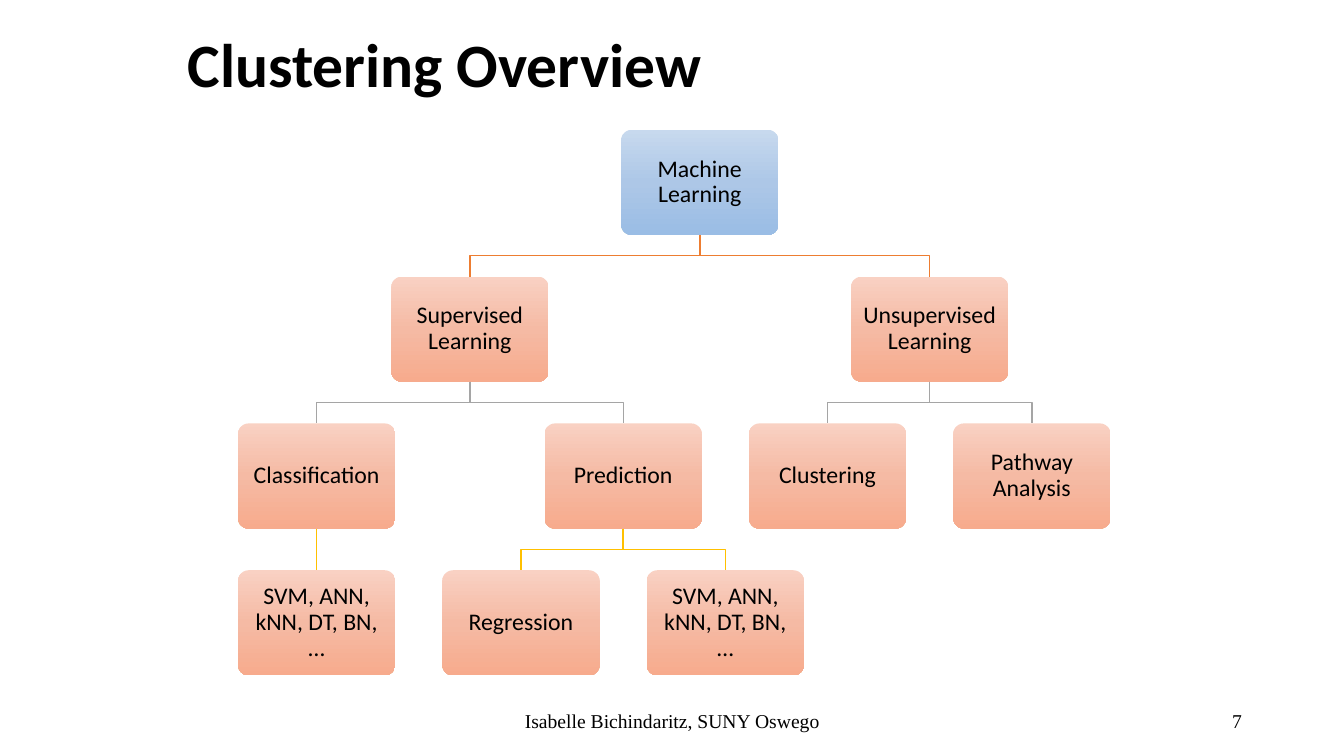
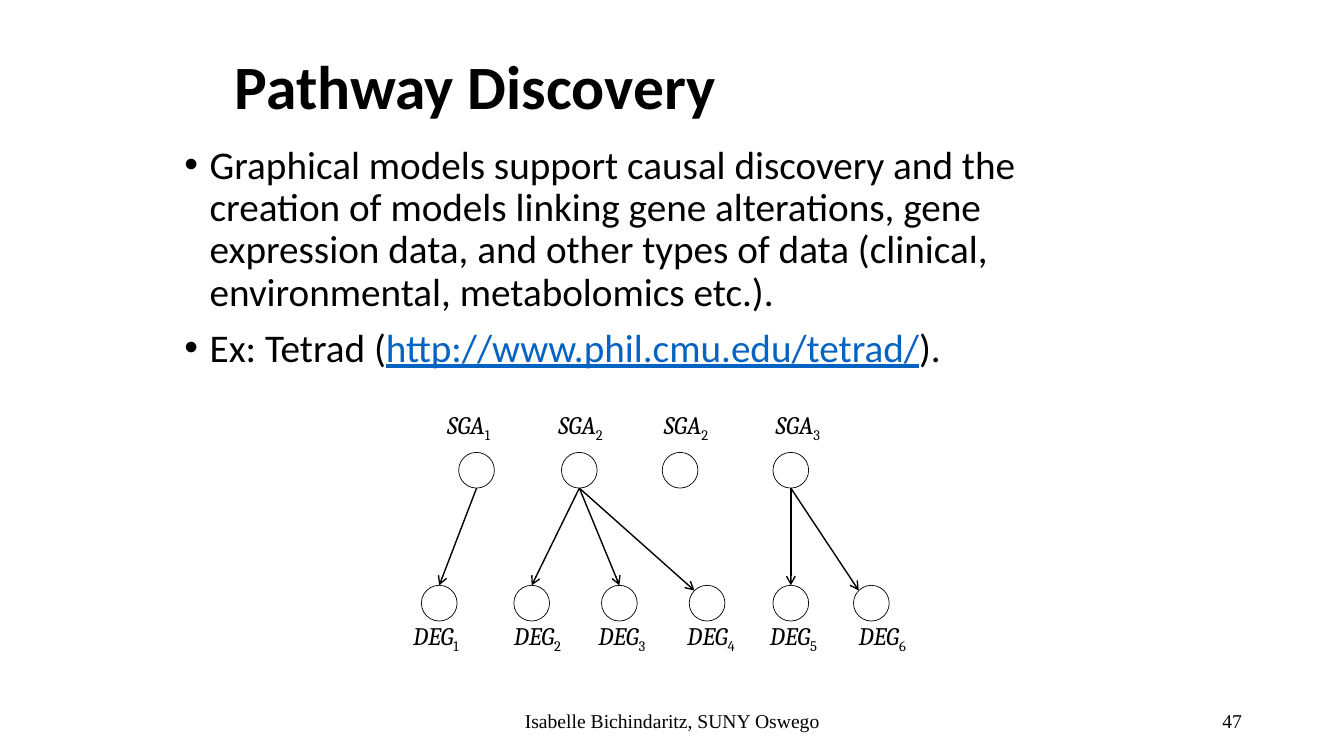
import copy

import pptx
import pptx.dml.color
import pptx.enum.shapes
import pptx.enum.text
import pptx.oxml
import pptx.oxml.ns
import pptx.util

Cm, Pt = pptx.util.Cm, pptx.util.Pt
qn = pptx.oxml.ns.qn
SHAPE = pptx.enum.shapes.MSO_SHAPE
STRAIGHT = pptx.enum.shapes.MSO_CONNECTOR.STRAIGHT
ALIGN = pptx.enum.text.PP_ALIGN
ANCHOR = pptx.enum.text.MSO_ANCHOR

# Shared colours and text formats
COLORS = {
    "text": "000000", "link": "0563C1",
    "level 1": "ED7D31", "level 2": "A5A5A5", "level 3": "FFC000",
}
ROOT_GRADIENT = ["C7D9EE", "ADC7E7", "9ABDE5"]
NODE_GRADIENT = ["F9D1C3", "F5BAA4", "F7AB8D"]
TITLE = {"name": "Calibri", "size": Pt(44), "bold": True}
BODY = {"name": "Calibri", "size": Pt(28)}
NODE = {"name": "Calibri", "size": Pt(17)}
FOOTER = {"name": "Times New Roman", "size": Pt(14)}
SYMBOL = {"name": "Cambria", "size": Pt(18), "italic": True}
SUBSCRIPT = {"name": "Cambria", "size": Pt(18), "italic": False}


def add_run(paragraph, text, text_format, color="text"):
    run = paragraph.add_run()
    run.text = text
    for name, value in text_format.items():
        setattr(run.font, name, value)
    run.font.color.rgb = pptx.dml.color.RGBColor.from_string(COLORS[color])
    return run


def add_line(slide, start, end, color):
    connector = slide.shapes.add_connector(STRAIGHT, *start, *end)
    connector.line.color.rgb = pptx.dml.color.RGBColor.from_string(COLORS[color])
    connector.line.width = Pt(1)
    properties = connector._element.spPr
    properties.append(pptx.oxml.parse_xml(
        f'<a:effectLst {pptx.oxml.ns.nsdecls("a")}/>'))
    return connector


presentation = pptx.Presentation()
presentation.slide_width = Cm(33.87)
presentation.slide_height = Cm(19.05)

# Titles and footers: layout index, title, title left and top, page number
slides = []
for layout, title, left, top, number in [
    (5, "Clustering Overview", 4.47, 0.1, "7"),
    (1, "Pathway Discovery", 5.66, 0.66, "47"),
]:
    slide = presentation.slides.add_slide(presentation.slide_layouts[layout])
    slides.append(slide)
    shape = slide.shapes.title
    shape.left, shape.top, shape.width, shape.height = Cm(left), Cm(top), Cm(21.59), Cm(3.18)
    shape.text_frame.vertical_anchor = ANCHOR.MIDDLE
    paragraph = shape.text_frame.paragraphs[0]
    paragraph.alignment = ALIGN.LEFT
    paragraph.line_spacing = 0.9
    add_run(paragraph, title, TITLE)

    for text, left, width, alignment in [
        ("Isabelle Bichindaritz, SUNY Oswego", 11.23, 11.43, ALIGN.CENTER),
        (number, 23.93, 7.62, ALIGN.RIGHT),
    ]:
        shape = slide.shapes.add_textbox(Cm(left), Cm(17.65), Cm(width), Cm(1.02))
        shape.text_frame.word_wrap = True
        shape.text_frame.vertical_anchor = ANCHOR.MIDDLE
        paragraph = shape.text_frame.paragraphs[0]
        paragraph.alignment = alignment
        add_run(paragraph, text, FOOTER)

overview, discovery = slides

# Tree: text, column in leaf pitches, level, index of the parent
METHODS = "SVM, ANN, kNN, DT, BN, …"
TREE = [
    ("Machine Learning", 1.875, 0, None),
    ("Supervised Learning", 0.75, 1, 0),
    ("Unsupervised Learning", 3, 1, 0),
    ("Classification", 0, 2, 1),
    ("Prediction", 1.5, 2, 1),
    ("Clustering", 2.5, 2, 2),
    ("Pathway Analysis", 3.5, 2, 2),
    (METHODS, 0, 3, 3),
    ("Regression", 1, 3, 4),
    (METHODS, 2, 3, 4),
]
NODE_WIDTH, NODE_HEIGHT = Cm(3.96), Cm(2.65)
nodes = []
for text, column, level, parent_index in TREE:
    center = Cm(7.98 + 5.15 * column)
    top = Cm(3.27 + 3.7 * level)
    node = overview.shapes.add_shape(
        SHAPE.ROUNDED_RECTANGLE, center - NODE_WIDTH // 2, top, NODE_WIDTH, NODE_HEIGHT)
    nodes.append(node)
    node.adjustments[0] = 0.1
    node.shadow.inherit = False
    node.line.fill.background()

    # Three-step gradient running downwards
    node.fill.gradient()
    node.fill.gradient_angle = 270
    stop_list = node._element.spPr.find(qn("a:gradFill")).find(qn("a:gsLst"))
    stop_list.insert(1, copy.deepcopy(stop_list[0]))
    gradient = ROOT_GRADIENT if level == 0 else NODE_GRADIENT
    for stop, position, color in zip(node.fill.gradient_stops, (0, 0.5, 1), gradient):
        stop.position = position
        stop.color.rgb = pptx.dml.color.RGBColor.from_string(color)

    # The rounded corners add to these margins
    frame = node.text_frame
    for name, value in {
        "word_wrap": True, "vertical_anchor": ANCHOR.MIDDLE,
        "margin_left": Cm(0.15), "margin_right": Cm(0.15),
        "margin_top": Cm(0.15), "margin_bottom": Cm(0.15),
    }.items():
        setattr(frame, name, value)
    paragraph = frame.paragraphs[0]
    paragraph.alignment = ALIGN.CENTER
    paragraph.line_spacing = 0.9
    add_run(paragraph, text, NODE)

    # Branch from the parent: straight, or stepped halfway down the gap
    if parent_index is None:
        continue
    parent = nodes[parent_index]
    start_x = parent.left + NODE_WIDTH // 2
    start_y = parent.top + NODE_HEIGHT
    if start_x == center:
        branch = add_line(overview, (start_x, start_y), (center, top), f"level {level}")
        branch.begin_connect(parent, 2)
        branch.end_connect(node, 0)
    else:
        middle = (start_y + top) // 2
        builder = overview.shapes.build_freeform(start_x, start_y)
        builder.add_line_segments(
            [(start_x, middle), (center, middle), (center, top)], close=False)
        branch = builder.convert_to_shape()
        branch.shadow.inherit = False
        branch.fill.background()
        branch.line.color.rgb = pptx.dml.color.RGBColor.from_string(COLORS[f"level {level}"])
        branch.line.width = Pt(1)

# Bulleted list
body = discovery.placeholders[1]
body.left, body.top, body.width, body.height = Cm(4.39), Cm(3.53), Cm(24.13), Cm(12.75)
body.text_frame.auto_size = pptx.enum.text.MSO_AUTO_SIZE.NONE
BULLETS = [
    [("Graphical models support causal discovery and the creation of models linking gene "
      "alterations, gene expression data, and other types of data (clinical, environmental, "
      "metabolomics etc.).", "text")],
    [("Ex: Tetrad (", "text"), ("http://www.phil.cmu.edu/tetrad/", "link"), (").", "text")],
]
for index, pieces in enumerate(BULLETS):
    paragraph = body.text_frame.add_paragraph() if index else body.text_frame.paragraphs[0]
    properties = paragraph._p.get_or_add_pPr()
    properties.set("marL", str(Cm(0.64)))
    properties.set("indent", str(-Cm(0.64)))
    paragraph.line_spacing = 0.9
    paragraph.space_before = Pt(10 if index else 0)
    for text, color in pieces:
        run = add_run(paragraph, text, BODY, color)
        run.font.underline = color == "link"

# Causal graph: circle lefts, label lefts and subscripts of each row
DIAMETER = 0.9
CAUSE_TOP, EFFECT_TOP = 11.4, 14.75
causes = [(11.56, 11.02, "1"), (14.15, 13.82, "2"), (16.69, 16.48, "2"), (19.48, 19.3, "3")]
effects = [(10.62, 10.16, "1"), (12.95, 12.7, "2"), (15.16, 14.83, "3"),
           (17.37, 17.07, "4"), (19.48, 19.15, "5"), (21.51, 21.39, "6")]
for symbol, circle_top, label_top, row in [
    ("SGA", CAUSE_TOP, 10.18, causes),
    ("DEG", EFFECT_TOP, 15.51, effects),
]:
    for circle_left, label_left, subscript in row:
        circle = discovery.shapes.add_shape(
            SHAPE.OVAL, Cm(circle_left), Cm(circle_top), Cm(DIAMETER), Cm(DIAMETER))
        circle.shadow.inherit = False
        circle.fill.background()
        circle.line.color.rgb = pptx.dml.color.RGBColor.from_string(COLORS["text"])
        circle.line.width = Pt(0.5)

        label = discovery.shapes.add_textbox(Cm(label_left), Cm(label_top), Cm(2.2), Cm(1.1))
        label.text_frame.word_wrap = True
        paragraph = label.text_frame.paragraphs[0]
        add_run(paragraph, symbol, SYMBOL)
        run = add_run(paragraph, subscript, SUBSCRIPT)
        run.font._element.set("baseline", "-25000")

# Arrows: cause, effect, and whether the tip meets the upper left of the circle
CORNER = 0.13
for cause, effect, at_corner in [
    (0, 0, False), (1, 1, False), (1, 2, False), (1, 3, True), (3, 4, False), (3, 5, True),
]:
    start = Cm(causes[cause][0] + DIAMETER / 2), Cm(CAUSE_TOP + DIAMETER)
    offset_x, offset_y = (CORNER, CORNER) if at_corner else (DIAMETER / 2, 0)
    end = Cm(effects[effect][0] + offset_x), Cm(EFFECT_TOP + offset_y)
    arrow = add_line(discovery, start, end, "text")
    arrow._element.spPr.find(qn("a:ln")).append(pptx.oxml.parse_xml(
        f'<a:tailEnd {pptx.oxml.ns.nsdecls("a")} type="arrow"/>'))

presentation.save("out.pptx")
